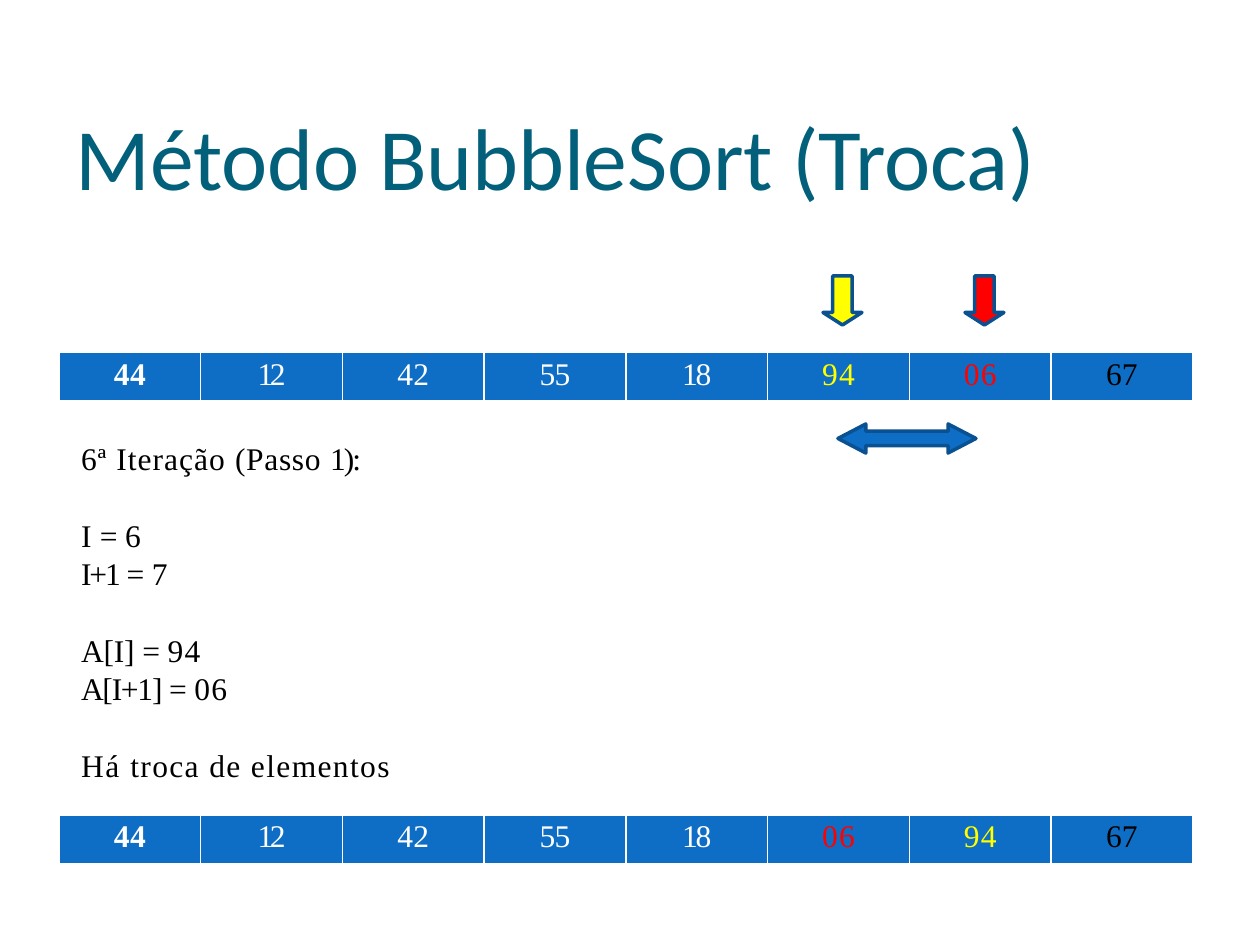
from lxml import etree
from pptx import Presentation, util as u
from pptx.dml.color import RGBColor
from pptx.enum import shapes, text
from pptx.oxml.ns import qn

TITLE = "Método BubbleSort (Troca)"
SERIF = "Times New Roman"
BLUE, EDGE, WHITE, BLACK = "0E6EC5", "0A5191", "FFFFFF", "000000"
YELLOW, RED = "FFFF00", "FF0000"

START = [("44", WHITE, 30), ("12", WHITE, -190), ("42", WHITE, 10), ("55", WHITE, -50),
         ("18", WHITE, -140)]
LAST = ("67", BLACK, 10)
ROWS = [
    (352, 5, START + [("94", YELLOW, 70), ("06", RED, 70), LAST]),
    (815, 4, START + [("06", RED, 70), ("94", YELLOW, 70), LAST]),
]
STEPS = [
    (False, [("6ª Iteração ", 60), ("(Passo ", 40), ("1):", -110)]),
    (True, [("I ", 10), ("= ", -20), ("6", 70)]),
    (False, [("I+1 ", -120), ("= ", -20), ("7", -30)]),
    (True, [("A[I] ", -10), ("= ", -20), ("94", 70)]),
    (False, [("A[I+1] ", -70), ("= ", -20), ("06", 70)]),
    (True, [("Há ", 90), ("troca de elementos", 80)]),
]
DOWN, SWAP = shapes.MSO_SHAPE.DOWN_ARROW, shapes.MSO_SHAPE.LEFT_RIGHT_ARROW
ARROWS = [
    (DOWN, (823, 276, 39, 49), 0.32, YELLOW),
    (DOWN, (965, 276, 39, 49), 0.32, RED),
    (SWAP, (838, 424, 138, 29), 0.96, BLUE),
]
SIDES = [("a:lnL", 1), ("a:lnR", 1), ("a:lnT", 0.5), ("a:lnB", 1.5)]


def px(n):
    return u.Emu(round(n * 914400 / 126))


def rgb(code):
    return RGBColor.from_string(code)


def style(para, size, face, color):
    para.font.size = u.Pt(size)
    para.font.name = face
    para.font.color.rgb = rgb(color)


def add_run(para, words, gap):
    run = para.add_run()
    run.text = words
    run._r.get_or_add_rPr().set("spc", str(gap))
    return run


def trim(box, top):
    box.margin_left = box.margin_right = box.margin_bottom = 0
    box.margin_top = px(top)


def edge(cell):
    props = cell._tc.get_or_add_tcPr()
    for i, (tag, width) in enumerate(SIDES):
        line = etree.Element(qn(tag), w=str(u.Pt(width)))
        fill = etree.SubElement(line, qn("a:solidFill"))
        etree.SubElement(fill, qn("a:srgbClr"), val=WHITE)
        props.insert(i, line)


def add_row(slide, top, inset, items):
    grid = slide.shapes.add_table(1, len(items), px(59), px(top), px(1134), px(49)).table
    for i, (words, color, gap) in enumerate(items):
        cell = grid.cell(0, i)
        cell.fill.solid()
        cell.fill.fore_color.rgb = rgb(BLUE)
        edge(cell)
        trim(cell, inset)
        para = cell.text_frame.paragraphs[0]
        para.alignment = text.PP_ALIGN.CENTER
        style(para, 18, SERIF, color)
        add_run(para, words, gap).font.bold = i == 0


def add_steps(slide):
    frame = slide.shapes.add_textbox(px(81), px(437), px(320), px(344)).text_frame
    frame.word_wrap = True
    trim(frame, 2)
    for i, (apart, runs) in enumerate(STEPS):
        para = frame.add_paragraph() if i else frame.paragraphs[0]
        para.space_before = u.Pt(22.5 if apart else 0)
        style(para, 18, SERIF, BLACK)
        for words, gap in runs:
            add_run(para, words, gap)


def add_arrow(slide, kind, place, head, color):
    arrow = slide.shapes.add_shape(kind, *map(px, place))
    arrow.adjustments[0] = 0.5
    arrow.adjustments[1] = head
    arrow.shadow.inherit = False
    arrow.fill.solid()
    arrow.fill.fore_color.rgb = rgb(color)
    arrow.line.color.rgb = rgb(EDGE)
    arrow.line.width = u.Pt(2)


def add_title(slide):
    title = slide.shapes.title
    title.left, title.top, title.width, title.height = map(px, (76, 101, 975, 108))
    frame = title.text_frame
    frame.word_wrap = True
    frame.auto_size = text.MSO_AUTO_SIZE.NONE
    frame.vertical_anchor = text.MSO_ANCHOR.TOP
    trim(frame, 2)
    para = frame.paragraphs[0]
    para.alignment = text.PP_ALIGN.LEFT
    style(para, 50, "Calibri", "03607A")
    add_run(para, TITLE, -10)


def main():
    deck = Presentation()
    deck.slide_width, deck.slide_height = px(1260), px(945)
    slide = deck.slides.add_slide(deck.slide_layouts[5])
    add_title(slide)
    for row in ROWS:
        add_row(slide, *row)
    add_steps(slide)
    for arrow in ARROWS:
        add_arrow(slide, *arrow)
    deck.save("out.pptx")


if __name__ == "__main__":
    main()
